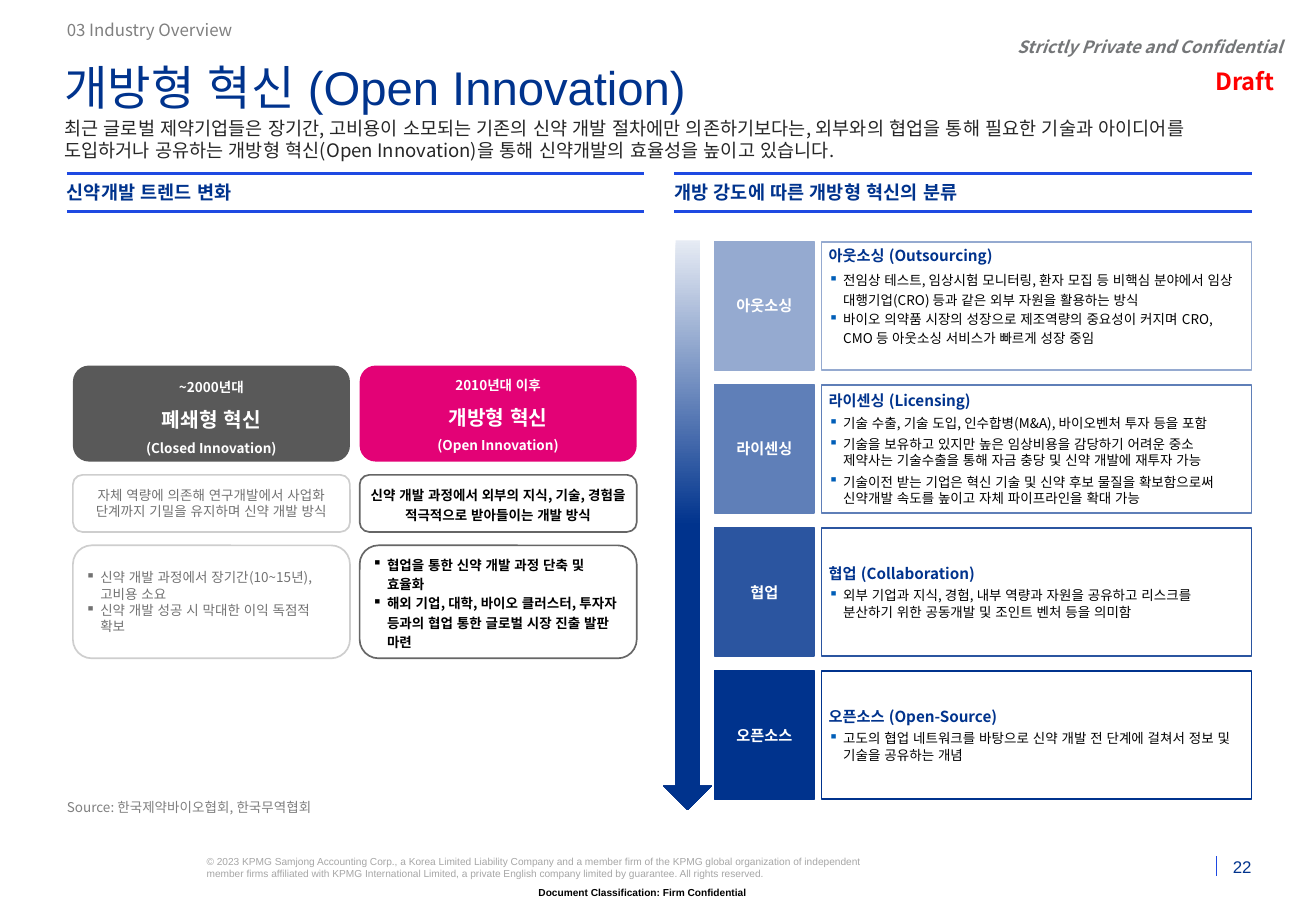
from dataclasses import dataclass

from lxml import etree
from pptx import Presentation
from pptx.dml.color import RGBColor
from pptx.enum.lang import MSO_LANGUAGE_ID
from pptx.enum.shapes import MSO_CONNECTOR, MSO_SHAPE
from pptx.enum.text import MSO_ANCHOR, MSO_AUTO_SIZE, PP_ALIGN
from pptx.oxml.ns import qn
from pptx.util import Inches, Pt

LEFT, CENTER, RIGHT = PP_ALIGN.LEFT, PP_ALIGN.CENTER, PP_ALIGN.RIGHT
TOP, MIDDLE, BOTTOM = MSO_ANCHOR.TOP, MSO_ANCHOR.MIDDLE, MSO_ANCHOR.BOTTOM
RECTANGLE, ROUNDED, ARROW = MSO_SHAPE.RECTANGLE, MSO_SHAPE.ROUNDED_RECTANGLE, MSO_SHAPE.DOWN_ARROW
KOREAN, STRAIGHT, FIXED = MSO_LANGUAGE_ID.KOREAN, MSO_CONNECTOR.STRAIGHT, MSO_AUTO_SIZE.NONE
SANS, ARIAL = "Noto Sans CJK KR", "Arial"

COLORS = {
    "navy": "00338D", "blue": "1E49E2", "bullet": "005EB8", "mist": "E6EBF4",
    "outsourcing": "95AAD0", "licensing": "5F7FB8", "collaboration": "2B55A0",
    "closed": "595959", "open": "E30276", "closed line": "CECECE", "open line": "666666",
    "closed text": "727272", "gray": "808080", "confidential": "747678", "pale": "A6A6A6",
    "lead": "262626", "black": "000000", "white": "FFFFFF", "red": "FF0000",
}


@dataclass
class Box:
    """A rectangle in inches that can be divided by shares."""
    left: float
    top: float
    width: float
    height: float

    def columns(self, shares, gap):
        """Divide the box from left to right."""
        unit = (self.width - gap * (len(shares) - 1)) / sum(shares)
        return [Box(self.left + unit * sum(shares[:i]) + gap * i, self.top, unit * share, self.height)
                for i, share in enumerate(shares)]

    def rows(self, shares, gap):
        """Divide the box from top to bottom."""
        unit = (self.height - gap * (len(shares) - 1)) / sum(shares)
        return [Box(self.left, self.top + unit * sum(shares[:i]) + gap * i, self.width, unit * share)
                for i, share in enumerate(shares)]

    def lengths(self):
        """Return the position and size as lengths."""
        return [Inches(value) for value in (self.left, self.top, self.width, self.height)]


@dataclass
class Line:
    """A paragraph and its format."""
    text: str
    size: float
    color: str
    bold: bool = False
    italic: bool = False
    align: int = LEFT
    spacing: float = 1.0
    after: float = 0
    bullet: str = ""
    latin: str = SANS


def color(name):
    """Look up a colour by name."""
    return RGBColor.from_string(COLORS[name])


def format_bullet(para, bullet):
    """Give a paragraph a square bullet, or none."""
    props = para._p.get_or_add_pPr()
    hang = Inches(0.12) if bullet else 0
    props.set("marL", str(hang))
    props.set("indent", str(-hang))
    if bullet:
        tint = etree.SubElement(props, qn("a:buClr"))
        etree.SubElement(tint, qn("a:srgbClr")).set("val", COLORS[bullet])
        etree.SubElement(props, qn("a:buChar")).set("char", "▪")
    else:
        etree.SubElement(props, qn("a:buNone"))


def write(shape, lines, anchor=MIDDLE, insets=(0, 0, 0, 0)):
    """Fill a shape with formatted paragraphs."""
    frame = shape.text_frame
    frame.word_wrap, frame.auto_size, frame.vertical_anchor = True, FIXED, anchor
    frame.margin_left, frame.margin_top, frame.margin_right, frame.margin_bottom = map(Inches, insets)
    frame.text = "\n".join(line.text for line in lines)
    for para, line in zip(frame.paragraphs, lines):
        format_bullet(para, line.bullet)
        para.alignment, para.line_spacing = line.align, line.spacing
        para.space_before, para.space_after = Pt(0), Pt(line.after)
        for span in para.runs:
            font = span.font
            font.size, font.bold, font.italic = Pt(line.size), line.bold, line.italic
            font.name, font.language_id = line.latin, KOREAN
            font.color.rgb = color(line.color)
            etree.SubElement(span._r.get_or_add_rPr(), qn("a:ea")).set("typeface", SANS)


def add_text(page, box, line, anchor=MIDDLE):
    """Add a text box with one paragraph."""
    write(page.shapes.add_textbox(*box.lengths()), [line], anchor)


def add_panel(page, kind, box, fill, outline=None, weight=1):
    """Add a filled shape with an optional outline."""
    panel = page.shapes.add_shape(kind, *box.lengths())
    panel.shadow.inherit = False
    panel.fill.solid()
    panel.fill.fore_color.rgb = color(fill)
    if outline:
        panel.line.color.rgb = color(outline)
        panel.line.width = Pt(weight)
    else:
        panel.line.fill.background()
    return panel


def add_rule(page, left, top, right, bottom, weight):
    """Add a straight blue line."""
    rule = page.shapes.add_connector(STRAIGHT, *map(Inches, (left, top, right, bottom)))
    rule.line.color.rgb = color("blue")
    rule.line.width = Pt(weight)
    etree.SubElement(rule._element.spPr, qn("a:effectLst"))


def add_header(page, box):
    """Place the section, title, lead and marks within the box."""
    section, title = page.placeholders[1], page.shapes.title
    for holder, top, height in ((section, 0, 0.23), (title, 0.35, 0.47)):
        holder.left, holder.top, holder.width, holder.height = Box(
            box.left, box.top + top, 9.38, height).lengths()
    section.left = Inches(box.left + 0.02)
    write(section, [Line("03 Industry Overview", 10, "gray")])
    write(title, [Line("개방형 혁신 (Open Innovation)", 28, "navy", latin=ARIAL)], TOP)
    add_text(page, Box(box.left, box.top + 0.83, 9.76, 0.56), Line(
        "최근 글로벌 제약기업들은 장기간, 고비용이 소모되는 기존의 신약 개발 절차에만 의존하기보다는, "
        "외부와의 협업을 통해 필요한 기술과 아이디어를 도입하거나 공유하는 개방형 혁신(Open Innovation)을 "
        "통해 신약개발의 효율성을 높이고 있습니다.", 11, "lead"), TOP)
    right = box.left + box.width
    add_text(page, Box(right - 2.5, box.top + 0.17, 2.5, 0.17), Line(
        "Strictly Private and Confidential", 10, "confidential", True, True, RIGHT))
    add_text(page, Box(right - 2.06, box.top + 0.42, 2, 0.24), Line("Draft", 14, "red", True, align=RIGHT))


def add_heading(page, box, text):
    """Add a heading between two rules."""
    add_text(page, box, Line(text, 11, "navy", True))
    for top in (box.top, box.top + box.height):
        add_rule(page, box.left, top, box.left + box.width, top, 1.5)


def add_trend(page, box, name, spacing, heading, summary, points):
    """Stack the heading, summary and points of one innovation era."""
    bold = name == "open"
    ink = "black" if bold else "closed text"
    body_spacing = 1.2 if bold else 1.0
    insets = (0.06,) * 4
    head, middle, foot = box.rows([0.79, 0.47, 0.93], 0.11)
    sizes, spacings = (8, 12, 8), (spacing, 1.5, 1.5)
    write(add_panel(page, ROUNDED, head, name), [
        Line(text, size, "white", True, align=CENTER, spacing=gap)
        for text, size, gap in zip(heading, sizes, spacings)], insets=insets)
    write(add_panel(page, ROUNDED, middle, "white", name + " line"), [
        Line(summary, 8, ink, bold, align=CENTER, spacing=body_spacing)], insets=insets)
    write(add_panel(page, ROUNDED, foot, "white", name + " line"), [
        Line(text, 8, ink, bold, spacing=body_spacing, bullet=ink) for text in points], insets=insets)


def add_level(page, box, shade, name, english, points, spacing=1.0, after=3, bottom=0.02):
    """Add one level of openness: a label and its description."""
    label, detail = box.columns([0.82, 3.54], 0.06)
    write(add_panel(page, RECTANGLE, label, shade, shade, 0.75), [
        Line(name, 9, "white", True, align=CENTER)], insets=(0.06,) * 4)
    lines = [Line(f"{name} ({english})", 9, "navy", True, spacing=spacing, after=3)]
    lines += [Line(text, 8, "black", spacing=spacing, after=after, bullet="bullet") for text in points]
    write(add_panel(page, RECTANGLE, detail, "white", shade), lines, insets=(0.06, 0.02, 0.06, bottom))


def add_arrow(page, box):
    """Add the arrow that darkens as openness grows."""
    fill = add_panel(page, ARROW, box, "navy").fill
    fill.gradient()
    fill.gradient_angle = 270
    for stop, name, position in zip(fill.gradient_stops, ("mist", "navy"), (0, 0.5)):
        stop.color.rgb = color(name)
        stop.position = position


def add_footer(page, box):
    """Place the copyright, classification and page number."""
    add_text(page, Box(box.left + 1.15, box.top, 5.59, 0.2), Line(
        "© 2023 KPMG Samjong Accounting Corp., a Korea Limited Liability Company and a member firm of the KPMG "
        "global organization of independent member firms affiliated with KPMG International Limited, a private "
        "English company limited by guarantee. All rights reserved.", 6, "pale", latin=ARIAL), TOP)
    add_text(page, Box(box.left + 3.2, box.top + 0.26, 2.39, 0.1), Line(
        "Document Classification: Firm Confidential", 6, "black", True, align=RIGHT, latin=ARIAL), TOP)
    right = box.left + box.width
    add_rule(page, right - 0.29, box.top + 0.01, right - 0.29, box.top + 0.17, 0.5)
    add_text(page, Box(right - 0.27, box.top + 0.02, 0.27, 0.16), Line(
        "22", 10, "navy", align=RIGHT, latin=ARIAL), BOTTOM)


def main():
    """Build and save the slide."""
    deck = Presentation()
    deck.slide_width, deck.slide_height = Inches(10.83), Inches(7.5)
    page = deck.slides.add_slide(deck.slide_layouts[1])
    add_header(page, Box(0.53, 0.13, 10.02, 1.3))
    headings = ("신약개발 트렌드 변화", "개방 강도에 따른 개방형 혁신의 분류")
    for box, text in zip(Box(0.55, 1.43, 9.75, 0.31).columns([1, 1], 0.25), headings):
        add_heading(page, box, text)
    closed, opened = Box(0.6, 3.01, 4.64, 2.41).columns([1, 1], 0.08)
    add_trend(page, closed, "closed", 1.5, ["~2000년대", "폐쇄형 혁신", "(Closed Innovation)"],
              "자체 역량에 의존해 연구개발에서 사업화 단계까지 기밀을 유지하며 신약 개발 방식",
              ["신약 개발 과정에서 장기간(10~15년), 고비용 소요", "신약 개발 성공 시 막대한 이익 독점적 확보"])
    add_trend(page, opened, "open", 1.2, ["2010년대 이후", "개방형 혁신", "(Open Innovation)"],
              "신약 개발 과정에서 외부의 지식, 기술, 경험을 적극적으로 받아들이는 개발 방식",
              ["협업을 통한 신약 개발 과정 단축 및 효율화",
               "해외 기업, 대학, 바이오 클러스터, 투자자 등과의 협업 통한 글로벌 시장 진출 발판 마련"])
    levels = [
        ("outsourcing", "아웃소싱", "Outsourcing", [
            "전임상 테스트, 임상시험 모니터링, 환자 모집 등 비핵심 분야에서 임상 대행기업(CRO) 등과 같은 외부 자원을 활용하는 방식",
            "바이오 의약품 시장의 성장으로 제조역량의 중요성이 커지며 CRO, CMO 등 아웃소싱 서비스가 빠르게 성장 중임"], 1.2, 0, 0.21),
        ("licensing", "라이센싱", "Licensing", [
            "기술 수출, 기술 도입, 인수합병(M&A), 바이오벤처 투자 등을 포함",
            "기술을 보유하고 있지만 높은 임상비용을 감당하기 어려운 중소 제약사는 기술수출을 통해 자금 충당 및 신약 개발에 재투자 가능",
            "기술이전 받는 기업은 혁신 기술 및 신약 후보 물질을 확보함으로써 신약개발 속도를 높이고 자체 파이프라인을 확대 가능"]),
        ("collaboration", "협업", "Collaboration", [
            "외부 기업과 지식, 경험, 내부 역량과 자원을 공유하고 리스크를 분산하기 위한 공동개발 및 조인트 벤처 등을 의미함"]),
        ("navy", "오픈소스", "Open-Source", [
            "고도의 협업 네트워크를 바탕으로 신약 개발 전 단계에 걸쳐서 정보 및 기술을 공유하는 개념"]),
    ]
    for box, level in zip(Box(5.88, 1.99, 4.42, 4.59).rows([1] * 4, 0.12), levels):
        add_level(page, box, *level)
    add_arrow(page, Box(5.46, 1.98, 0.4, 4.69))
    add_text(page, Box(0.55, 6.46, 4.69, 0.25), Line(
        "Source: 한국제약바이오협회, 한국무역협회", 8, "gray"), BOTTOM)
    add_footer(page, Box(0.55, 7.04, 9.75, 0.36))
    deck.save("out.pptx")


if __name__ == "__main__":
    main()
